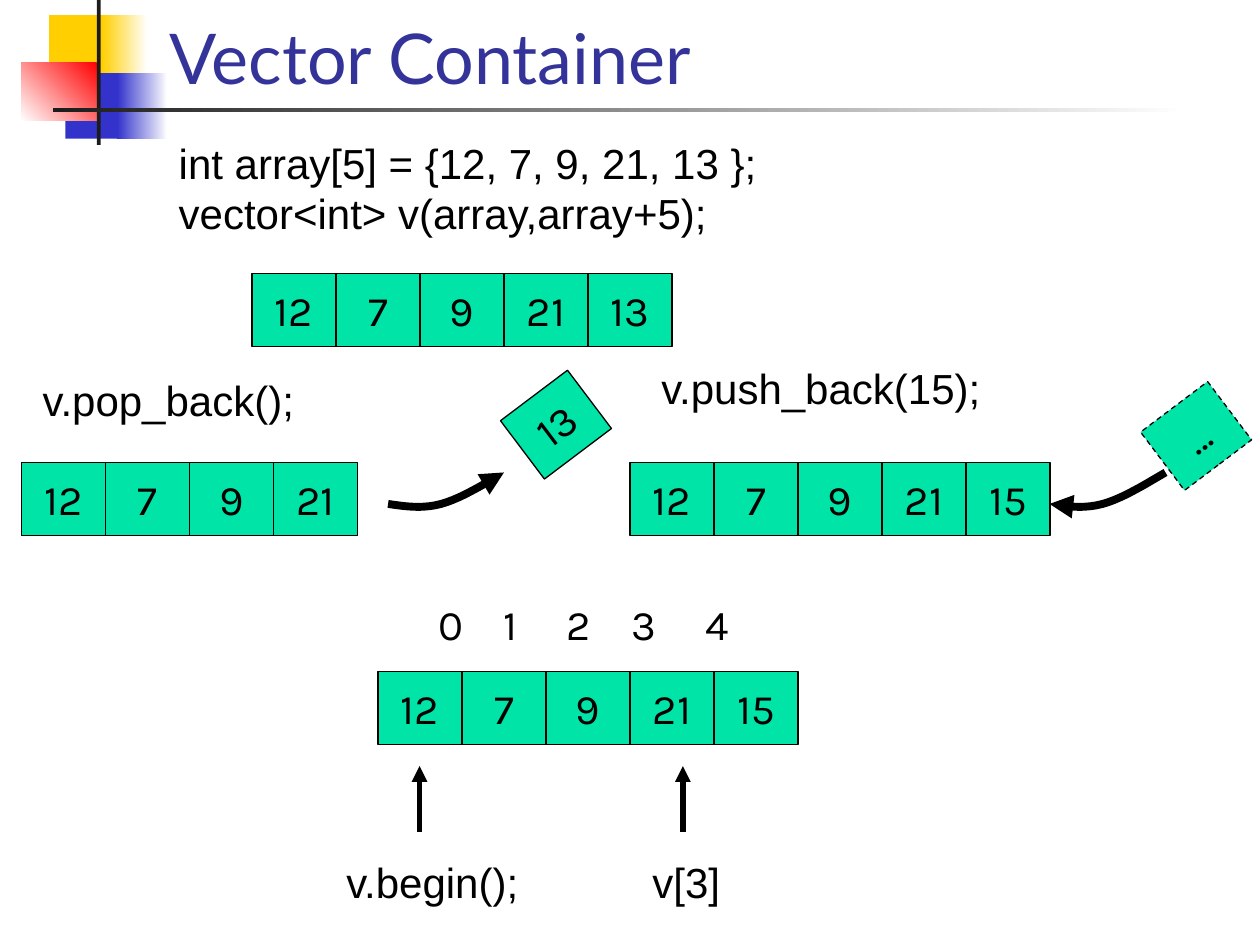
import pptx
import pptx.util
import pptx.dml.color
import pptx.enum.dml
import pptx.enum.shapes
import pptx.enum.text
import pptx.oxml
import pptx.oxml.ns

Inches = pptx.util.Inches
Pt = pptx.util.Pt
RGBColor = pptx.dml.color.RGBColor
RECTANGLE = pptx.enum.shapes.MSO_SHAPE.RECTANGLE
ANCHOR = pptx.enum.text.MSO_ANCHOR
ALIGN = pptx.enum.text.PP_ALIGN
FIT = pptx.enum.text.MSO_AUTO_SIZE

WHITE = RGBColor(0xFF, 0xFF, 0xFF)
BLACK = RGBColor(0x00, 0x00, 0x00)
YELLOW = RGBColor(0xFF, 0xCF, 0x01)
BLUE = RGBColor(0x33, 0x33, 0xCC)
RED = RGBColor(0xFF, 0x00, 0x00)
CHARCOAL = RGBColor(0x1C, 0x1C, 0x1C)
GREEN = RGBColor(0x00, 0xE4, 0xA8)
TITLE_BLUE = RGBColor(0x33, 0x33, 0x99)

CELL_WIDTH, CELL_HEIGHT = 2 / 3, 0.58
CURVE_STEPS = 10

# left, top, width, height, colours (one is solid, two a gradient), angle
DECORATION = [
    (0.39, 0.12, 0.48, 0.52, [YELLOW], 0),
    (0.81, 0.12, 0.36, 0.52, [WHITE, YELLOW], 180),
    (0.52, 0.58, 0.46, 0.52, [BLUE], 0),
    (0.93, 0.58, 0.40, 0.52, [WHITE, BLUE], 180),
    (0.17, 0.50, 0.61, 0.46, [RED, WHITE], 225),
    (0.77, 0.00, 0.03, 1.15, [CHARCOAL], 0),
    (0.42, 0.86, 9.00, 0.03, [WHITE, CHARCOAL], 180),
]
TITLE = "Vector Container"
# left, top, width, height, lines
CODE_LABELS = [
    (1.32, 1.04, 4.85, 0.9, ["int array[5] = {12, 7, 9, 21, 13 };",
                             "vector<int> v(array,array+5);"]),
    (0.24, 2.92, 2.22, 0.5, ["v.pop_back();"]),
    (5.15, 2.83, 2.75, 0.5, ["v.push_back(15);"]),
    (2.65, 6.75, 1.59, 0.5, ["v.begin();"]),
    (5.08, 6.75, 0.74, 0.5, ["v[3]"]),
]
INDICES = ["0", "1", "2", "3", "4"]
INDEX_TABS = [0.52, 1.02, 1.53, 2.12]
# left, top, values
VECTORS = [
    (2, 2.17, ["12", "7", "9", "21", "13"]),
    (0.17, 3.67, ["12", "7", "9", "21"]),
    (5, 3.67, ["12", "7", "9", "21", "15"]),
    (3, 5.33, ["12", "7", "9", "21", "15"]),
]
# left, top, value, dashed outline
LOOSE_CELLS = [(4.08, 3.08, "13", False), (9.16, 3.17, "…", True)]
LOOSE_ANGLE = 323
# left end, arrowhead element
CURVED_ARROWS = [(3.08, "tailEnd"), (8.33, "headEnd")]
CURVE_TOP = 3.75
CURVE = [  # two cubic segments, relative to the left end and the top
    [(0, 0.25), (0.14, 0.27), (0.27, 0.29), (0.42, 0.25)],
    [(0.42, 0.25), (0.57, 0.21), (0.75, 0.1), (0.92, 0)],
]
POINTERS = [3.33, 5.42]
POINTER_BOTTOM, POINTER_TOP = 6.6, 6.08


def write(shape, lines, font, size=24, color=BLACK, align=ALIGN.LEFT, **frame_format):
    frame = shape.text_frame
    settings = {"word_wrap": False, "vertical_anchor": ANCHOR.TOP, **frame_format}
    for name, value in settings.items():
        setattr(frame, name, value)
    for number, line in enumerate(lines):
        para = frame.add_paragraph() if number else frame.paragraphs[0]
        para.alignment = align
        span = para.add_run()
        span.text = line
        for name, value in {"name": font, "size": Pt(size)}.items():
            setattr(span.font, name, value)
        span.font.color.rgb = color


def add_box(page, left, top, width, height):
    return page.shapes.add_textbox(*map(Inches, (left, top, width, height)))


def add_rectangle(page, left, top, width, height, colors, angle=0):
    shape = page.shapes.add_shape(RECTANGLE, *map(Inches, (left, top, width, height)))
    shape.shadow.inherit = False
    shape.line.fill.background()
    if len(colors) == 1:
        shape.fill.solid()
        shape.fill.fore_color.rgb = colors[0]
    else:
        shape.fill.gradient()
        shape.fill.gradient_angle = angle
        for stop, color in zip(shape.fill.gradient_stops, colors):
            stop.color.rgb = color
    return shape


def add_cell(page, left, top, value):
    cell = add_rectangle(page, left, top, CELL_WIDTH, CELL_HEIGHT, [GREEN])
    cell.line.color.rgb = BLACK
    cell.line.width = Pt(0.75)
    write(cell, [value], "Karla", align=ALIGN.CENTER, vertical_anchor=ANCHOR.MIDDLE)
    return cell


def style_arrow(shape, width, end):
    shape.line.color.rgb = BLACK
    shape.line.width = Pt(width)
    head = pptx.oxml.parse_xml(
        f'<a:{end} {pptx.oxml.ns.nsdecls("a")} type="triangle"/>')
    shape.element.spPr.find(pptx.oxml.ns.qn("a:ln")).append(head)


def curve_points(left):
    """Points along the curve, in inches."""
    for segment in CURVE:
        for step in range(CURVE_STEPS + 1):
            t = step / CURVE_STEPS
            weights = ((1 - t) ** 3, 3 * t * (1 - t) ** 2, 3 * t ** 2 * (1 - t), t ** 3)
            x, y = (sum(w * p[axis] for w, p in zip(weights, segment)) for axis in (0, 1))
            if step or segment is CURVE[0]:
                yield left + x, CURVE_TOP + y


def add_curved_arrow(page, left, end):
    start, *rest = [(Inches(x), Inches(y)) for x, y in curve_points(left)]
    builder = page.shapes.build_freeform(*start)
    builder.add_line_segments(rest, close=False)
    arrow = builder.convert_to_shape()
    arrow.shadow.inherit = False
    arrow.fill.background()
    style_arrow(arrow, 4.5, end)


def add_pointer(page, x):
    pointer = page.shapes.add_connector(
        pptx.enum.shapes.MSO_CONNECTOR.STRAIGHT,
        *map(Inches, (x, POINTER_BOTTOM, x, POINTER_TOP)))
    style_arrow(pointer, 3, "tailEnd")
    pointer.element.spPr.append(
        pptx.oxml.parse_xml(f'<a:effectLst {pptx.oxml.ns.nsdecls("a")}/>'))


def add_indices(page):
    box = add_box(page, 3.38, 4.7, 2.71, 0.5)
    write(box, ["\t".join(INDICES)], "Karla", auto_size=FIT.SHAPE_TO_FIT_TEXT)
    stops = "".join(f'<a:tab pos="{Inches(stop)}" algn="l"/>' for stop in INDEX_TABS)
    box.text_frame.paragraphs[0]._p.get_or_add_pPr().append(pptx.oxml.parse_xml(
        f'<a:tabLst {pptx.oxml.ns.nsdecls("a")}>{stops}</a:tabLst>'))


def main():
    deck = pptx.Presentation()
    deck.slide_width, deck.slide_height = Inches(10), Inches(7.5)
    page = deck.slides.add_slide(deck.slide_layouts[6])

    for part in DECORATION:
        add_rectangle(page, *part)
    write(add_box(page, 1.25, -0.42, 8.52, 1.25), [TITLE], "Lato", 40, TITLE_BLUE,
          word_wrap=True, vertical_anchor=ANCHOR.BOTTOM)
    for *place, lines in CODE_LABELS:
        write(add_box(page, *place), lines, "Arial", auto_size=FIT.SHAPE_TO_FIT_TEXT)
    for left, top, values in VECTORS:
        for column, value in enumerate(values):
            add_cell(page, left + column * CELL_WIDTH, top, value)
    for left, top, value, dashed in LOOSE_CELLS:
        cell = add_cell(page, left, top, value)
        cell.rotation = LOOSE_ANGLE
        if dashed:
            cell.line.dash_style = pptx.enum.dml.MSO_LINE.DASH
    for left, end in CURVED_ARROWS:
        add_curved_arrow(page, left, end)
    add_indices(page)
    for x in POINTERS:
        add_pointer(page, x)
    deck.save("out.pptx")


if __name__ == "__main__":
    main()
